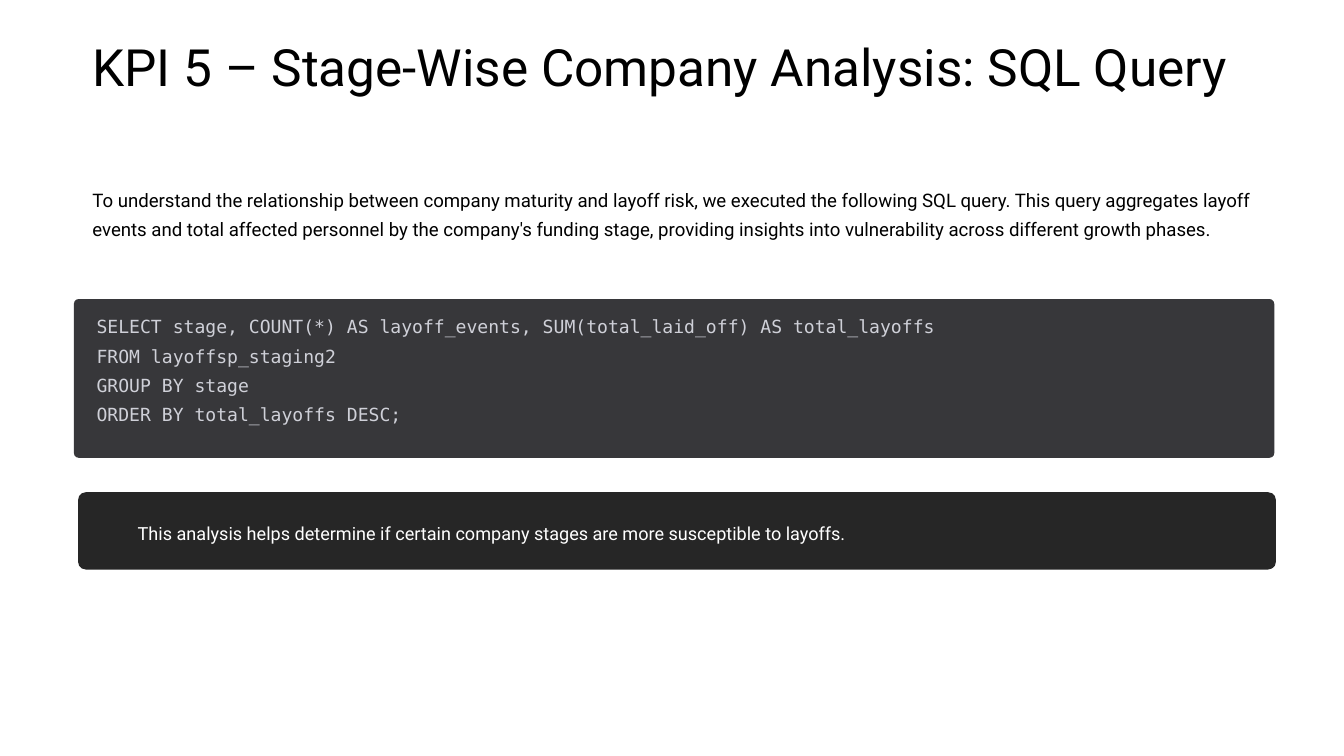
from dataclasses import dataclass

from lxml.etree import SubElement
from pptx import Presentation
from pptx.dml.color import RGBColor
from pptx.enum.shapes import MSO_SHAPE
from pptx.enum.text import MSO_ANCHOR, MSO_AUTO_SIZE, PP_ALIGN
from pptx.oxml.ns import qn
from pptx.util import Inches, Pt

WIDE, HIGH = Inches(16), Inches(9)
COL, ROW = WIDE / 160, HIGH / 90
SANS, MONO = "Roboto", "DejaVu Sans Mono"


@dataclass(frozen=True)
class Area:
    col: float
    row: float
    cols: float
    rows: float


@dataclass(frozen=True)
class Panel:
    area: Area
    curve: float
    fill: str


@dataclass(frozen=True)
class Copy:
    area: Area
    text: str
    size: float
    color: str
    lead: float = 25
    font: str = SANS


TITLE = Copy(Area(11, 8.2, 142, 3.4),
             "KPI 5 – Stage-Wise Company Analysis: SQL Query",
             44, "000000", lead=24)
INTRO = Copy(Area(11, 16.5, 142.6, 17.3),
             "To understand the relationship between company maturity and "
             "layoff risk, we executed the following SQL query. This query "
             "aggregates layoff events and total affected personnel by the "
             "company's funding stage, providing insights into vulnerability "
             "across different growth phases.",
             16, "000000")
QUERY = Copy(Area(11.5, 36.7, 138.5, 13.9),
             "SELECT stage, COUNT(*) AS layoff_events, "
             "SUM(total_laid_off) AS total_layoffs\n"
             "FROM layoffsp_staging2\n"
             "GROUP BY stage\n"
             "ORDER BY total_layoffs DESC;",
             15.5, "CFD0D8", font=MONO)
NOTE = Copy(Area(16.4, 61.3, 133.4, 3.5),
            "This analysis helps determine if certain company stages are "
            "more susceptible to layoffs.",
            15.5, "FFFFFF")
PANELS = [
    Panel(Area(8.8, 35.6, 142.9, 18.9), 0.03, "37373A"),
    Panel(Area(9.3, 58.6, 142.6, 9.2), 0.1, "262626"),
]


def tint(code: str) -> RGBColor:
    return RGBColor.from_string(code)


def frame(area: Area) -> tuple[int, int, int, int]:
    return (round(area.col * COL), round(area.row * ROW),
            round(area.cols * COL), round(area.rows * ROW))


def write(shape, copy: Copy) -> None:
    shape.left, shape.top, shape.width, shape.height = frame(copy.area)
    body = shape.text_frame
    body.text = copy.text
    body.word_wrap = True
    body.auto_size = MSO_AUTO_SIZE.NONE
    body.vertical_anchor = MSO_ANCHOR.MIDDLE
    body.margin_left = body.margin_right = 0
    body.margin_top = body.margin_bottom = 0
    for line in body.paragraphs:
        props = line._p.get_or_add_pPr()
        props.set("marL", "0")
        props.set("indent", "0")
        SubElement(props, qn("a:buNone"))
        line.alignment = PP_ALIGN.LEFT
        line.line_spacing = Pt(copy.lead)
        line.space_before = Pt(0)
        for run in line.runs:
            run.font.name = copy.font
            run.font.size = Pt(copy.size)
            run.font.color.rgb = tint(copy.color)


def draw(slide, panel: Panel) -> None:
    shape = slide.shapes.add_shape(MSO_SHAPE.ROUNDED_RECTANGLE,
                                   *frame(panel.area))
    shape.adjustments[0] = panel.curve
    shape.shadow.inherit = False
    shape.fill.solid()
    shape.fill.fore_color.rgb = tint(panel.fill)
    shape.line.fill.background()


def main() -> None:
    deck = Presentation()
    deck.slide_width, deck.slide_height = WIDE, HIGH
    slide = deck.slides.add_slide(deck.slide_layouts[1])
    write(slide.shapes.title, TITLE)
    write(slide.placeholders[1], INTRO)
    for panel in PANELS:
        draw(slide, panel)
    for copy in (QUERY, NOTE):
        write(slide.shapes.add_textbox(*frame(copy.area)), copy)
    deck.save("out.pptx")


if __name__ == "__main__":
    main()
